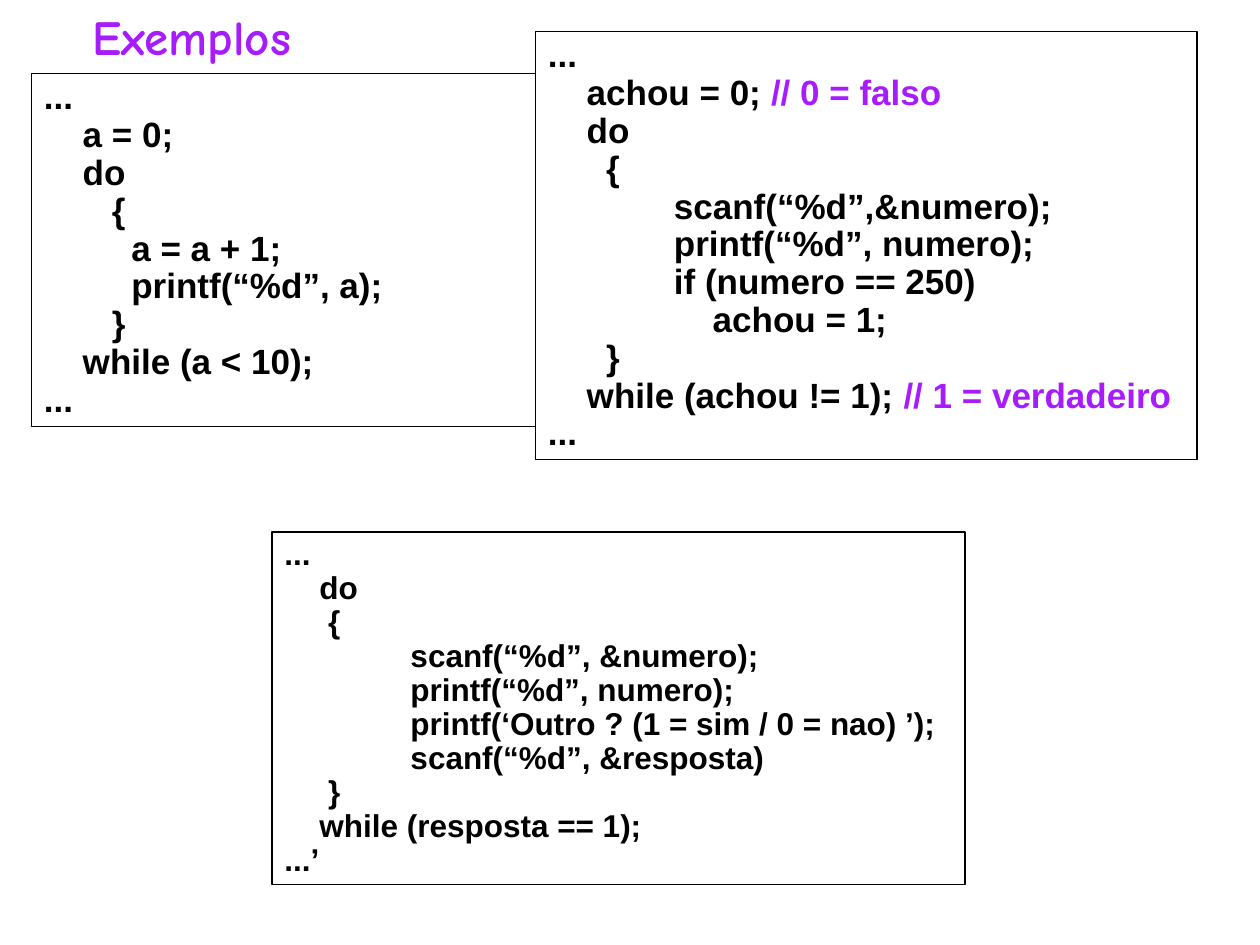
from lxml import etree
from pptx import Presentation
from pptx.dml.color import RGBColor
from pptx.enum import shapes, text
from pptx.oxml.ns import qn
from pptx.util import Pt

BLACK = RGBColor(0x00, 0x00, 0x00)
WHITE = RGBColor(0xFF, 0xFF, 0xFF)
PURPLE = RGBColor(0xA7, 0x1C, 0xFC)

COUNT_LOOP = """...
    a = 0;
    do
       {
         a = a + 1;
         printf(“%d”, a);
       }
    while (a < 10);
..."""

SEARCH_LOOP = """...
    achou = 0; // 0 = falso
    do
      {
\tscanf(“%d”,&numero);
\tprintf(“%d”, numero);
\tif (numero == 250)
\t    achou = 1;
      }
    while (achou != 1); // 1 = verdadeiro
..."""

ANSWER_LOOP = """...
    do
     {
\tscanf(“%d”, &numero);
\tprintf(“%d”, numero);
\tprintf(‘Outro ? (1 = sim / 0 = nao) ’);
\tscanf(“%d”, &resposta)
     }
    while (resposta == 1);
...’"""


def set_font(p, name, size, color):
    p.font.name = name
    p.font.size = Pt(size)
    p.font.bold = True
    p.font.color.rgb = color


def add_tab_stop(p, position):
    tabs = etree.SubElement(p._p.get_or_add_pPr(), qn("a:tabLst"))
    etree.SubElement(tabs, qn("a:tab"), pos=str(Pt(position)), algn="l")


def add_title(s, x, y, w, h, title):
    tf = s.shapes.add_textbox(Pt(x), Pt(y), Pt(w), Pt(h)).text_frame
    tf.word_wrap = False
    p = tf.paragraphs[0]
    p.add_run().text = title
    set_font(p, "Comic Neue", 28, PURPLE)


def add_code_box(s, x, y, w, h, code, size):
    """Framed listing whose // comments are purple."""
    sp = s.shapes.add_shape(shapes.MSO_SHAPE.RECTANGLE, Pt(x), Pt(y), Pt(w), Pt(h))
    sp.shadow.inherit = False
    sp.fill.solid()
    sp.fill.fore_color.rgb = WHITE
    sp.line.color.rgb = BLACK
    sp.line.width = Pt(0.75)
    tf = sp.text_frame
    tf.word_wrap = True
    tf.vertical_anchor = text.MSO_ANCHOR.TOP
    for i, line in enumerate(code.split("\n")):
        p = tf.add_paragraph() if i else tf.paragraphs[0]
        p.alignment = text.PP_ALIGN.LEFT
        p.line_spacing = 0.9
        add_tab_stop(p, 72)
        set_font(p, "Arial", size, BLACK)
        statement, slashes, comment = line.partition("//")
        p.add_run().text = statement
        if slashes:
            r = p.add_run()
            r.text = slashes + comment
            r.font.color.rgb = PURPLE


def main():
    prs = Presentation()
    prs.slide_width, prs.slide_height = Pt(720), Pt(540)
    s = prs.slides.add_slide(prs.slide_layouts[6])
    add_code_box(s, 18, 42, 312, 201.6, COUNT_LOOP, 20)
    add_title(s, 46, 0, 128, 41, "Exemplos")
    add_code_box(s, 306, 18, 378, 244.8, SEARCH_LOOP, 20)
    add_code_box(s, 155.5, 304, 396, 201.6, ANSWER_LOOP, 18)
    prs.save("out.pptx")


if __name__ == "__main__":
    main()
